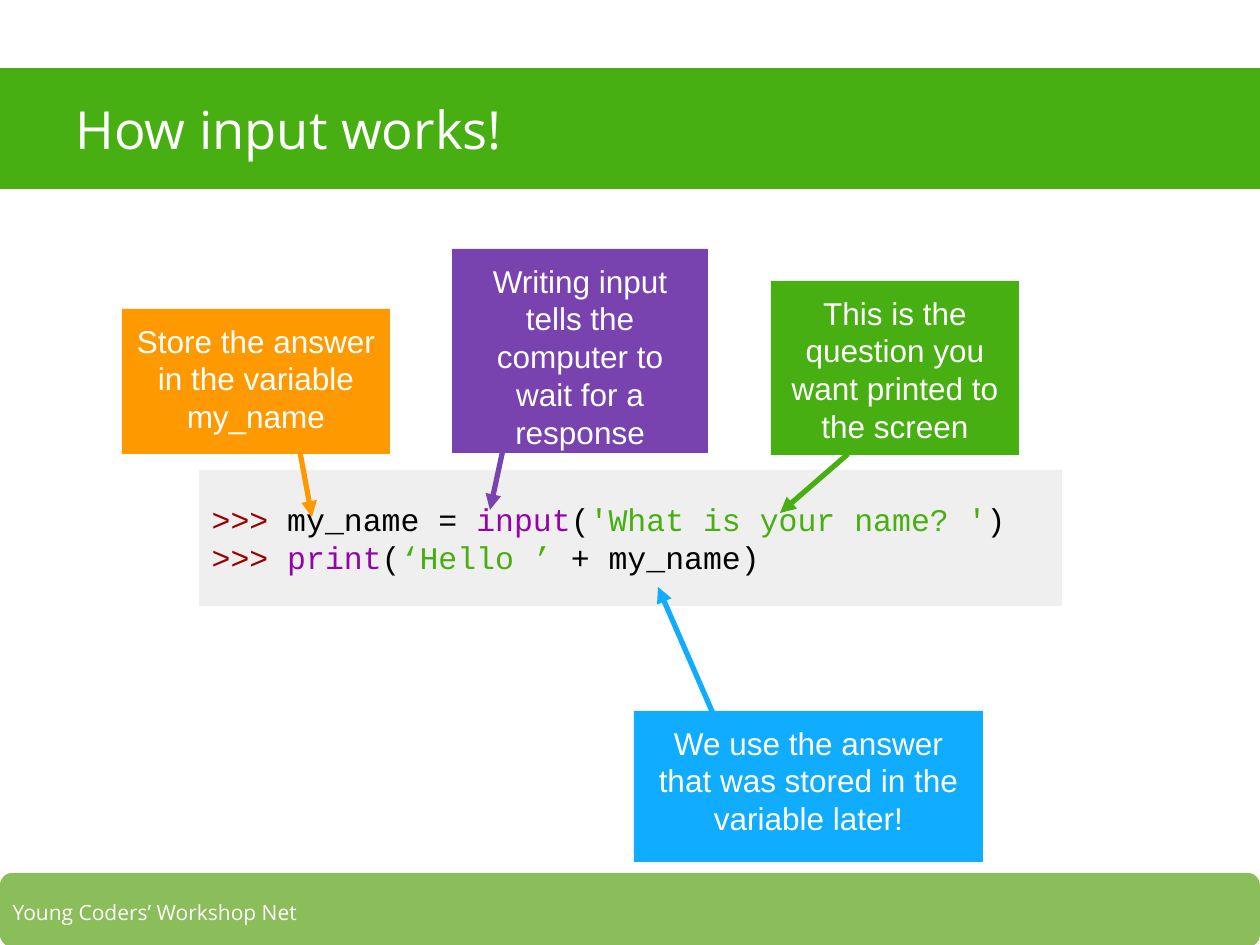
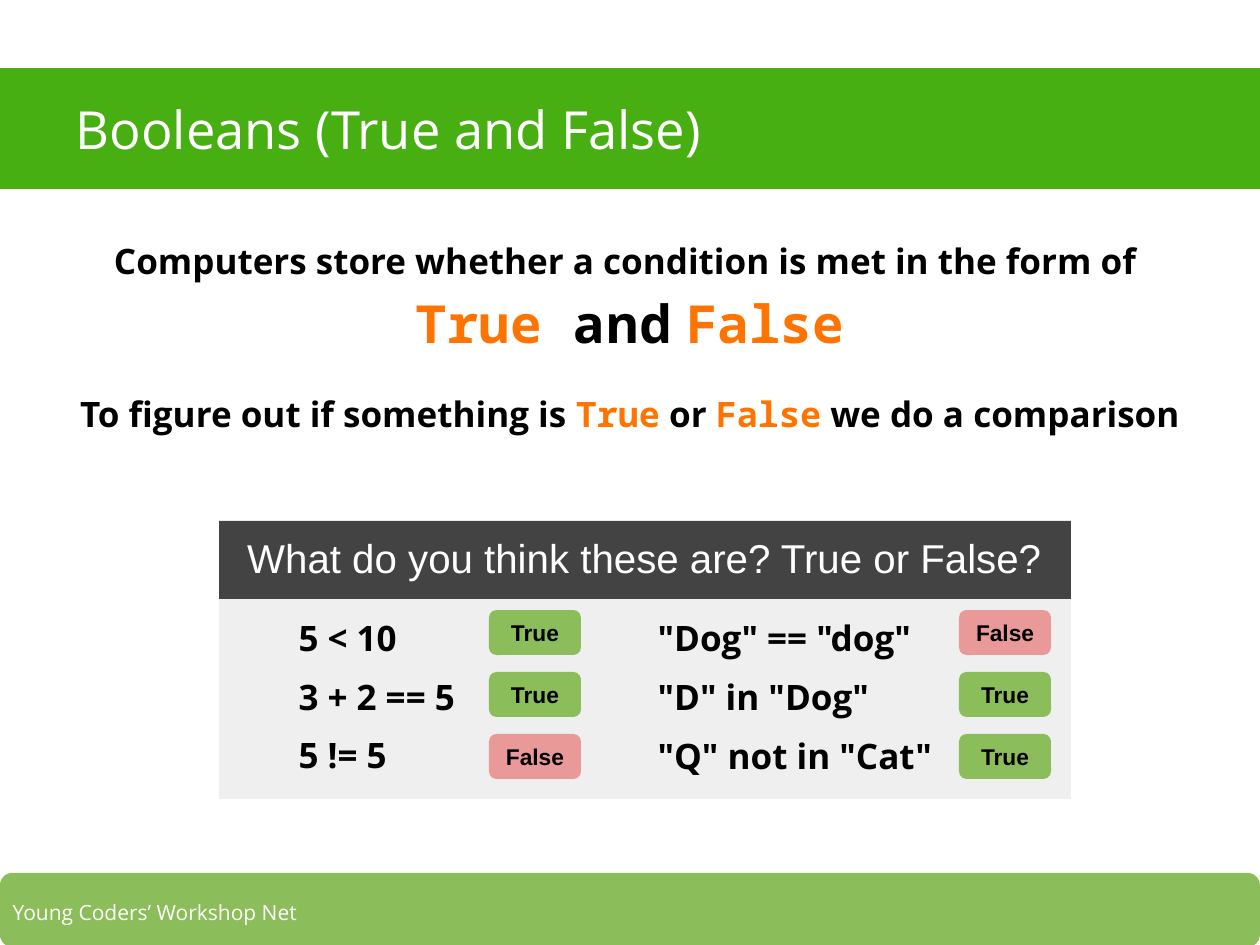
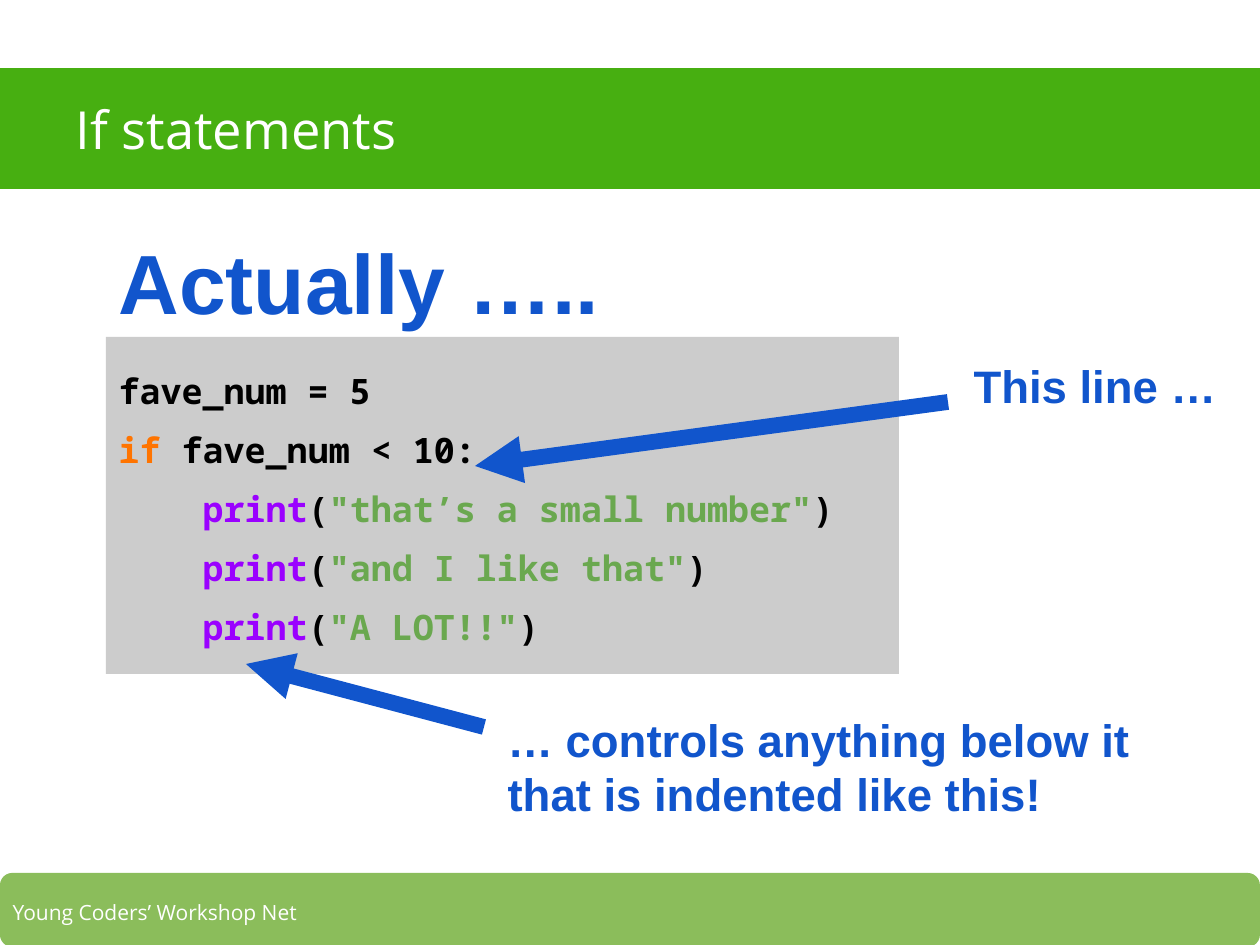
"""Build three beginner Python slides: input, Booleans and if statements."""
from dataclasses import dataclass

from lxml.etree import SubElement
from pptx import Presentation
from pptx.dml.color import RGBColor
from pptx.enum.shapes import MSO_CONNECTOR, MSO_SHAPE
from pptx.enum.text import MSO_ANCHOR, MSO_AUTO_SIZE, PP_ALIGN
from pptx.oxml.ns import qn
from pptx.util import Emu, Pt


@dataclass(frozen=True)
class Theme:
    white: str = "FFFFFF"
    black: str = "000000"
    green: str = "47AF11"
    leaf: str = "8BBD5B"
    pink: str = "EA9999"
    orange: str = "FF9900"
    sky: str = "10ACFF"
    purple: str = "7943AF"
    blue: str = "1155CC"
    keyword: str = "FF7400"
    prompt: str = "9A0000"
    builtin: str = "9305A6"
    violet: str = "9A00FF"
    string: str = "6AA84F"
    dark: str = "434343"
    pale: str = "EFEFEF"
    grey: str = "CCCCCC"
    sans: str = "Open Sans"
    arial: str = "Arial"
    courier: str = "Courier New"
    mono: str = "Noto Sans Mono"
    footer: int = 12
    badge: int = 13
    note: int = 18
    body: int = 20
    question: int = 23
    remark: int = 26
    title: int = 30
    shout: int = 48


T = Theme()
SCALE = 914400 // 126
INSET = 0.1 * 126
SLIDE_W, SLIDE_H = 1260, 945
FOOTER = "Young Coders’ Workshop Net"

INPUT_TITLE = "How input works!"
INPUT_CODE = [
    [(">>>", T.prompt), (" my_name = ", T.black), ("input", T.builtin), ("(", T.black),
     ("'What is your name? '", T.green), (")", T.black)],
    [(">>> ", T.prompt), ("print", T.builtin), ("(", T.black),
     ("‘Hello ’ ", T.green), ("+ my_name)", T.black)],
]
CALLOUTS = [
    ("Store the answer in the variable my_name", T.orange,
     (122, 309, 268, 145), (300, 452, 312, 517)),
    ("We use the answer that was stored in the variable later!", T.sky,
     (634, 711, 349, 151), (718, 725, 658, 587)),
    ("This is the question you want printed to the screen", T.green,
     (771, 281, 248, 174), (848, 454, 780, 513)),
    ("Writing input tells the computer to wait for a response", T.purple,
     (452, 249, 256, 204), (504, 445, 490, 510)),
]

BOOL_TITLE = "Booleans (True and False)"
BOOL_TEXT = [
    (T.body, 6, [("Computers store whether a condition is met in the form of ", False)]),
    (T.title, 0, [("True ", True), ("and ", False), ("False", True)]),
    (T.body, 18, [("To figure out if something is ", False), ("True", True), (" or ", False),
                  ("False", True), (" we do a comparison", False)]),
]
QUESTION = "What do you think these are? True or False?"
QUIZ = [
    ((286, 599, 253, 188), 489, [("5 < 10", True), ("3 + 2 == 5", True), ("5 != 5", False)]),
    ((645, 592, 313, 203), 959, [('"Dog" == "dog"', False), ('"D" in "Dog"', True),
                                 ('"Q" not in "Cat"', True)]),
]
BADGE_TOP, BADGE_STEP, BADGE_SIZE = 610, 62, (92, 45)

IF_TITLE = "If statements"
IF_CODE = [
    (0, [("fave_num = 5", T.black)]),
    (0, [("if", T.keyword), (" fave_num < 10:", T.black)]),
] + [
    (84, [("print", T.violet), ("(", T.black), (f'"{words}"', T.string), (")", T.black)])
    for words in ("that’s a small number", "and I like that", "A LOT!!")
]
IF_ARROWS = [(948, 402, 475, 466), (484, 727, 246, 664)]
REMARKS = [
    ("This line …", T.remark, (961, 345, 276, 160)),
    ("… controls anything below it that is indented like this!", T.remark,
     (495, 699, 651, 160)),
    ("Actually …..", T.shout, (106, 218, 619, 77)),
]


def px(n):
    return Emu(round(n * SCALE))


def rgb(color):
    return RGBColor.from_string(color)


def run(text, font, size, color, bold=False):
    return text, font, size, color, bold


def para(runs, align=PP_ALIGN.LEFT, before=0, spacing=None, indent=0):
    return runs, align, before, spacing, indent


def write(shape, paras, anchor=MSO_ANCHOR.TOP):
    tf = shape.text_frame
    tf.word_wrap = True
    tf.auto_size = MSO_AUTO_SIZE.NONE
    tf.vertical_anchor = anchor
    tf.margin_left = tf.margin_right = tf.margin_top = tf.margin_bottom = px(INSET)
    for i, (runs, align, before, spacing, indent) in enumerate(paras):
        p = tf.add_paragraph() if i else tf.paragraphs[0]
        p.alignment = align
        p.space_before = Pt(before)
        if spacing:
            p.line_spacing = spacing
        if indent:
            p._p.get_or_add_pPr().set("marL", str(px(indent)))
        for text, font, size, color, bold in runs:
            r = p.add_run()
            r.text = text
            r.font.name = font
            r.font.size = Pt(size)
            r.font.bold = bold
            r.font.color.rgb = rgb(color)


def block(s, box, fill, kind=MSO_SHAPE.RECTANGLE):
    sp = s.shapes.add_shape(kind, *map(px, box))
    sp.shadow.inherit = False
    sp.fill.solid()
    sp.fill.fore_color.rgb = rgb(fill)
    sp.line.fill.background()
    return sp


def text_box(s, box, paras, anchor=MSO_ANCHOR.TOP):
    sp = s.shapes.add_textbox(*map(px, box))
    write(sp, paras, anchor)
    return sp


def arrow(s, ends, color, width):
    c = s.shapes.add_connector(MSO_CONNECTOR.STRAIGHT, *map(px, ends))
    c.line.color.rgb = rgb(color)
    c.line.width = Pt(width)
    SubElement(c.line._get_or_add_ln(), qn("a:tailEnd"), type="triangle")
    SubElement(c._element.spPr, qn("a:effectLst"))


def add_bands(s, layout):
    bands = [
        block(s, (0, 873, SLIDE_W, 74), T.leaf, MSO_SHAPE.ROUNDED_RECTANGLE),
        text_box(s, (0, 888, 323, 49), [para([run(FOOTER, T.sans, T.footer, T.white)])],
                 MSO_ANCHOR.MIDDLE),
        block(s, (-9, 68, 1275, 121), T.green),
    ]
    for i, sp in enumerate(bands):
        layout.shapes.element.insert(2 + i, sp.element)


def add_slide(prs, title):
    s = prs.slides.add_slide(prs.slide_layouts[5])
    sp = s.shapes.title
    sp.left, sp.top, sp.width, sp.height = map(px, (63, 68, 1134, 121))
    write(sp, [para([run(title, T.sans, T.title, T.white)])], MSO_ANCHOR.MIDDLE)
    return s


def input_slide(prs):
    s = add_slide(prs, INPUT_TITLE)
    add_bands(s, prs.slide_layouts[5])
    write(block(s, (199, 470, 863, 136), T.pale),
          [para([run(t, T.courier, T.note, c) for t, c in line], before=0 if i else 10)
           for i, line in enumerate(INPUT_CODE)], MSO_ANCHOR.MIDDLE)
    for text, color, box, ends in CALLOUTS:
        arrow(s, ends, color, 3)
        write(block(s, box, color),
              [para([run(text, T.arial, T.note, T.white)], PP_ALIGN.CENTER)])


def boolean_slide(prs):
    s = add_slide(prs, BOOL_TITLE)
    text_box(s, (63, 221, 1134, 312), [
        para([run(t, T.mono if code else T.sans, size, T.keyword if code else T.black, True)
              for t, code in runs], PP_ALIGN.CENTER, before, 1.15)
        for size, before, runs in BOOL_TEXT])
    block(s, (219, 522, 852, 277), T.pale)
    write(block(s, (219, 521, 852, 78), T.dark),
          [para([run(QUESTION, T.arial, T.question, T.white)], PP_ALIGN.CENTER)])
    for box, badge_x, items in QUIZ:
        text_box(s, box, [para([run(t, T.sans, T.body, T.black, True)], before=6, spacing=1.15)
                          for t, answer in items], MSO_ANCHOR.MIDDLE)
        for i, (t, answer) in enumerate(items):
            sp = block(s, (badge_x, BADGE_TOP + i * BADGE_STEP, *BADGE_SIZE),
                       T.leaf if answer else T.pink, MSO_SHAPE.ROUNDED_RECTANGLE)
            write(sp, [para([run(str(answer), T.arial, T.badge, T.black, True)],
                            PP_ALIGN.CENTER)], MSO_ANCHOR.MIDDLE)


def if_slide(prs):
    s = add_slide(prs, IF_TITLE)
    write(block(s, (106, 337, 793, 337), T.grey),
          [para([run(t, T.mono, T.body, c, True) for t, c in line],
                before=6, spacing=1.15, indent=indent) for indent, line in IF_CODE],
          MSO_ANCHOR.MIDDLE)
    for ends in IF_ARROWS:
        arrow(s, ends, T.blue, 9)
    for text, size, box in REMARKS:
        text_box(s, box, [para([run(text, T.arial, size, T.blue, True)])])


prs = Presentation()
prs.slide_width, prs.slide_height = px(SLIDE_W), px(SLIDE_H)
input_slide(prs)
boolean_slide(prs)
if_slide(prs)
prs.save("out.pptx")
